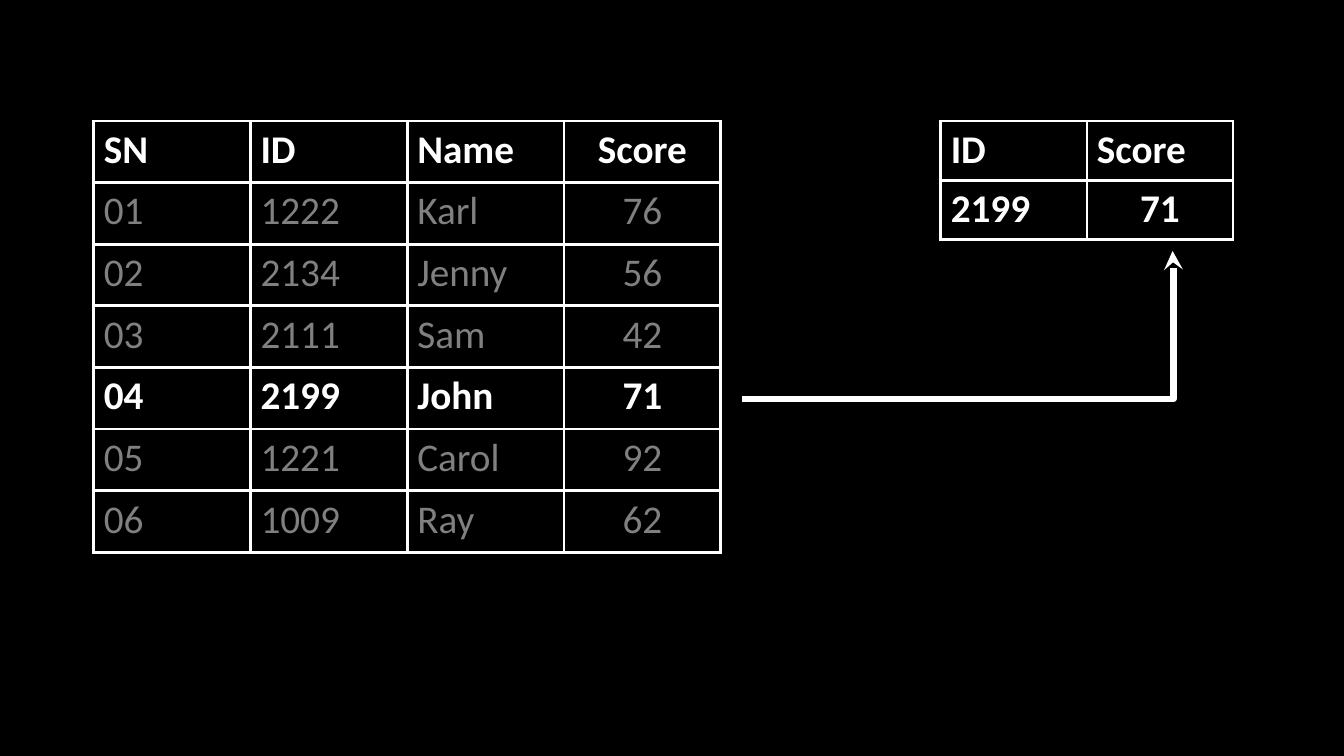
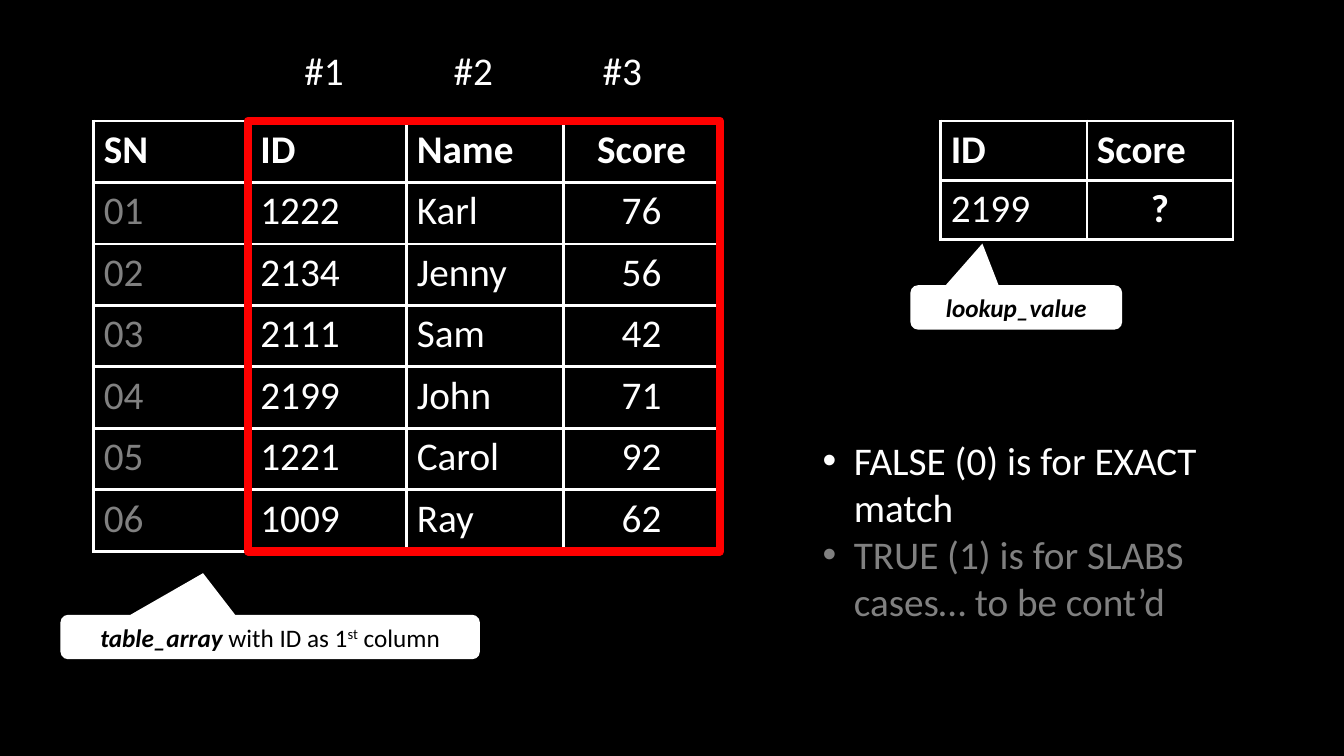
from lxml import etree
from pptx import Presentation
from pptx.dml.color import RGBColor
from pptx.enum import shapes, text
from pptx.oxml import ns
from pptx.util import Inches, Pt

HUES = {"back": "000000", "ink": "FFFFFF", "dim": "808080", "frame": "FF0000"}
BASE = {"name": "Calibri", "size": Pt(28), "bold": False, "italic": False}
NOTE = {"size": Pt(18)}
TERM = {**NOTE, "bold": True, "italic": True}
SCORES = [
    ["SN", "ID", "Name", "Score"],
    ["01", "1222", "Karl", "76"],
    ["02", "2134", "Jenny", "56"],
    ["03", "2111", "Sam", "42"],
    ["04", "2199", "John", "71"],
    ["05", "1221", "Carol", "92"],
    ["06", "1009", "Ray", "62"],
]
FOUND = 4
TOP = 1.2


def hue(key):
    return RGBColor.from_string(HUES[key])


def box(*sides):
    return [Inches(side) for side in sides]


def sub(node, tag, **attrs):
    return etree.SubElement(node, ns.qn(tag), attrs)


def write(para, words, key="ink", raised=False, **fmt):
    run = para.add_run()
    run.text = words
    for name, value in {**BASE, **fmt}.items():
        setattr(run.font, name, value)
    run.font.color.rgb = hue(key)
    if raised:
        run.font._element.set("baseline", "30000")


def edge(cell):
    props = cell._tc.get_or_add_tcPr()
    for spot, side in enumerate("LRTB"):
        line = etree.Element(ns.qn(f"a:ln{side}"), w=str(Pt(2.25)))
        fill = sub(line, "a:solidFill")
        sub(fill, "a:srgbClr", val=HUES["ink"])
        props.insert(spot, line)


def grid(slide, rows, place, look, first=0):
    last = len(rows[0]) - 1
    table = slide.shapes.add_table(len(rows), last + 1, *box(*place)).table
    table.first_row = table.horz_banding = False
    for r, row in enumerate(rows):
        for c, words in enumerate(row):
            cell = table.cell(r, c)
            cell.fill.background()
            edge(cell)
            para = cell.text_frame.paragraphs[0]
            if c == last and r >= first:
                para.alignment = text.PP_ALIGN.CENTER
            key, bold = look(r, c)
            write(para, words, key, bold=bold)


def lookup(slide, score, look):
    rows = [["ID", "Score"], [SCORES[FOUND][1], score]]
    grid(slide, rows, (9.33, TOP, 2.9, 1.18), look, first=1)


def arrow(slide, start, end):
    kind = shapes.MSO_CONNECTOR.ELBOW
    link = slide.shapes.add_connector(kind, *box(*start, *end))
    link.line.width = Pt(4.5)
    link.line.color.rgb = hue("ink")
    sub(link.line._get_or_add_ln(), "a:tailEnd", type="stealth")
    props = link._element.spPr
    sub(props, "a:effectLst")
    geom = props.find(ns.qn("a:prstGeom"))
    sub(geom.get_or_add_avLst(), "a:gd", name="adj1", fmla="val 100200")


def callout(slide, place, runs):
    kind = shapes.MSO_SHAPE.ROUNDED_RECTANGULAR_CALLOUT
    shape = slide.shapes.add_shape(kind, *box(*place))
    for spot, value in enumerate((-0.16, -1.44, 0.17)):
        shape.adjustments[spot] = value
    shape.shadow.inherit = False
    shape.fill.solid()
    shape.fill.fore_color.rgb = hue("ink")
    shape.line.fill.background()
    frame = shape.text_frame
    frame.vertical_anchor = text.MSO_ANCHOR.MIDDLE
    para = frame.paragraphs[0]
    para.alignment = text.PP_ALIGN.CENTER
    for words, fmt in runs:
        write(para, words, "back", **fmt)


def outline(slide, place):
    shape = slide.shapes.add_shape(shapes.MSO_SHAPE.RECTANGLE, *box(*place))
    shape.shadow.inherit = False
    shape.fill.background()
    shape.line.color.rgb = hue("frame")
    shape.line.width = Pt(6)


def label(slide, place, words):
    frame = slide.shapes.add_textbox(*box(*place)).text_frame
    frame.word_wrap = False
    write(frame.paragraphs[0], words)


def points(slide, place, items):
    frame = slide.shapes.add_textbox(*box(*place)).text_frame
    frame.word_wrap = True
    for spot, (words, key) in enumerate(items):
        para = frame.add_paragraph() if spot else frame.paragraphs[0]
        props = para._p.get_or_add_pPr()
        props.set("marL", str(Inches(0.31)))
        props.set("indent", str(Inches(-0.31)))
        sub(props, "a:buFont", typeface="Arial")
        sub(props, "a:buChar", char="•")
        write(para, words, key)


def page(deck):
    slide = deck.slides.add_slide(deck.slide_layouts[6])
    fill = slide.background.fill
    fill.solid()
    fill.fore_color.rgb = hue("back")
    return slide


def result(deck):
    slide = page(deck)

    def look(r, c):
        lit = r in (0, FOUND)
        return "ink" if lit else "dim", lit

    grid(slide, SCORES, (0.93, TOP, 6.22, 4.28), look)
    lookup(slide, SCORES[FOUND][-1], lambda r, c: ("ink", True))
    arrow(slide, (7.36, 3.96), (11.63, 2.49))


def inputs(deck):
    slide = page(deck)

    def look(r, c):
        return "dim" if r and not c else "ink", r == 0

    lookup(slide, "?", lambda r, c: ("ink", (r, c) != (1, 0)))
    grid(slide, SCORES, (0.93, TOP, 6.21, 4.27), look)
    callout(slide, (9.03, 2.83, 2.1, 0.44), [("lookup_value", TERM)])
    callout(slide, (0.6, 6.1, 4.16, 0.44), [
        ("table_array ", TERM),
        ("with ID as 1", NOTE),
        ("st", {**NOTE, "raised": True}),
        (" column", NOTE),
    ])
    outline(slide, (2.46, TOP, 4.68, 4.27))
    for spot in range(3):
        label(slide, (2.92 + 1.48 * spot, 0.41, 0.6, 0.57), f"#{spot + 1}")
    points(slide, (8.06, 4.28, 4.59, 1.99), [
        ("FALSE (0) is for EXACT match", "ink"),
        ("TRUE (1) is for SLABS cases… to be cont’d", "dim"),
    ])


def main():
    deck = Presentation()
    deck.slide_width, deck.slide_height = box(13.33, 7.5)
    result(deck)
    inputs(deck)
    deck.save("out.pptx")


main()
